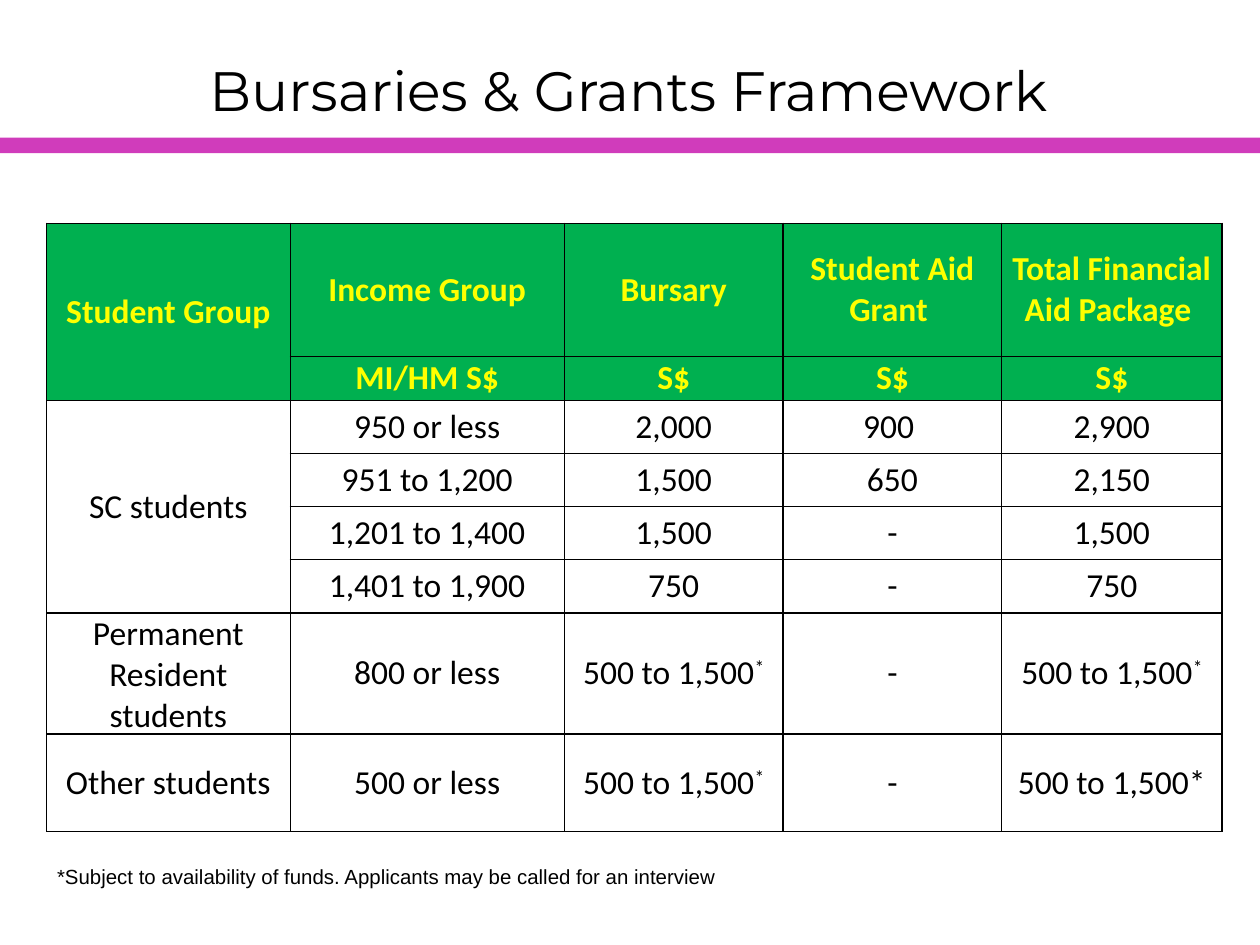
from lxml.etree import SubElement
from pptx import Presentation
from pptx.dml.color import RGBColor
from pptx.enum.shapes import MSO_SHAPE as Shape
from pptx.enum.text import MSO_ANCHOR as Anchor, PP_ALIGN as Align
from pptx.oxml.ns import qn
from pptx.util import Pt

BLACK = RGBColor(0x00, 0x00, 0x00)
WHITE = RGBColor(0xFF, 0xFF, 0xFF)
YELLOW = RGBColor(0xFF, 0xFF, 0x00)
GREEN = RGBColor(0x00, 0xB0, 0x50)
MAGENTA = RGBColor(0xD0, 0x3C, 0xBB)

HEADER_ROWS = 2
COLUMN_WIDTHS = [167, 188, 150, 150, 151]
ROW_HEIGHTS = [91.2, 30.2] + [36.5] * 4 + [83, 67]
STUDENT_GROUP_SPANS = [(0, 1), (2, 5)]
STARRED = "500 to 1,500^*"
FRAMEWORK = [
    ["Student Group", "Income Group", "Bursary", "Student Aid Grant ",
     "Total Financial\vAid Package "],
    ["", "MI/HM S$", "S$", "S$", "S$"],
    ["SC students", "950 or less", "2,000", "900 ", "2,900"],
    ["", "951 to 1,200", "1,500", "650", "2,150"],
    ["", "1,201 to 1,400", "1,500", "-", "1,500"],
    ["", "1,401 to 1,900", "750", "-", "750"],
    ["Permanent Resident students", "800 or less", STARRED, "-", STARRED],
    ["Other students", "500 or less", STARRED, "-", "500 to 1,500*"],
]


class SlideBuilder:
    """Draws styled elements on one slide, with lengths in points."""

    def __init__(self, page):
        self.page = page
        self.title_font = "Montserrat"
        self.table_font = "Calibri"
        self.note_font = "Arial"
        self.table_size = 23

    def style(self, para, font, size, color, align, bold=False):
        para.alignment = align
        for span in para.runs:
            span.font.name = font
            span.font.size = Pt(size)
            span.font.bold = bold
            span.font.color.rgb = color

    def text(self, words, left, top, width, height, font, size, align, wrap=True):
        box = self.page.shapes.add_textbox(Pt(left), Pt(top), Pt(width), Pt(height))
        frame = box.text_frame
        frame.word_wrap = wrap
        frame.vertical_anchor = Anchor.MIDDLE
        frame.text = words
        self.style(frame.paragraphs[0], font, size, BLACK, align)

    def bar(self, left, top, width, height, color):
        bar = self.page.shapes.add_shape(
            Shape.RECTANGLE, Pt(left), Pt(top), Pt(width), Pt(height))
        bar.shadow.inherit = False
        bar.fill.solid()
        bar.fill.fore_color.rgb = color
        bar.line.fill.background()

    def border(self, cell):
        properties = cell._tc.get_or_add_tcPr()
        for side in ("a:lnL", "a:lnR", "a:lnT", "a:lnB"):
            line = SubElement(properties, qn(side), w=str(Pt(1)))
            fill = SubElement(line, qn("a:solidFill"))
            SubElement(fill, qn("a:srgbClr"), val=str(BLACK))

    def cell(self, cell, words, header):
        self.border(cell)
        cell.fill.solid()
        cell.fill.fore_color.rgb = GREEN if header else WHITE
        cell.margin_left = cell.margin_right = 0
        cell.margin_top = cell.margin_bottom = 0
        cell.vertical_anchor = Anchor.MIDDLE
        base, _, mark = words.partition("^")
        para = cell.text_frame.paragraphs[0]
        para.text = base
        if mark:
            span = para.add_run()
            span.text = mark
            span._r.get_or_add_rPr().set("baseline", "30000")
        self.style(para, self.table_font, self.table_size,
                   YELLOW if header else BLACK, Align.CENTER, header)

    def table(self, rows, left, top, widths, heights, spans):
        table = self.page.shapes.add_table(
            len(rows), len(widths), Pt(left), Pt(top),
            Pt(sum(widths)), Pt(sum(heights))).table
        for column, width in zip(table.columns, widths):
            column.width = Pt(width)
        for row, height in zip(table.rows, heights):
            row.height = Pt(height)
        for y, row in enumerate(rows):
            for x, words in enumerate(row):
                self.cell(table.cell(y, x), words, y < HEADER_ROWS)
        for first, last in spans:
            table.cell(first, 0).merge(table.cell(last, 0))


def main():
    deck = Presentation()
    deck.slide_width, deck.slide_height = Pt(864), Pt(648)
    slide = SlideBuilder(deck.slides.add_slide(deck.slide_layouts[6]))
    slide.text("Bursaries & Grants Framework", 24, 7.2, 814, 108,
               slide.title_font, 38, Align.CENTER)
    slide.table(FRAMEWORK, 32, 153, COLUMN_WIDTHS, ROW_HEIGHTS, STUDENT_GROUP_SPANS)
    slide.text("*Subject to availability of funds. Applicants may be called for an interview",
               32, 589, 469, 24.5, slide.note_font, 14, Align.LEFT, wrap=False)
    slide.bar(0, 94.3, 864, 10.8, MAGENTA)
    deck.save("out.pptx")


if __name__ == "__main__":
    main()
